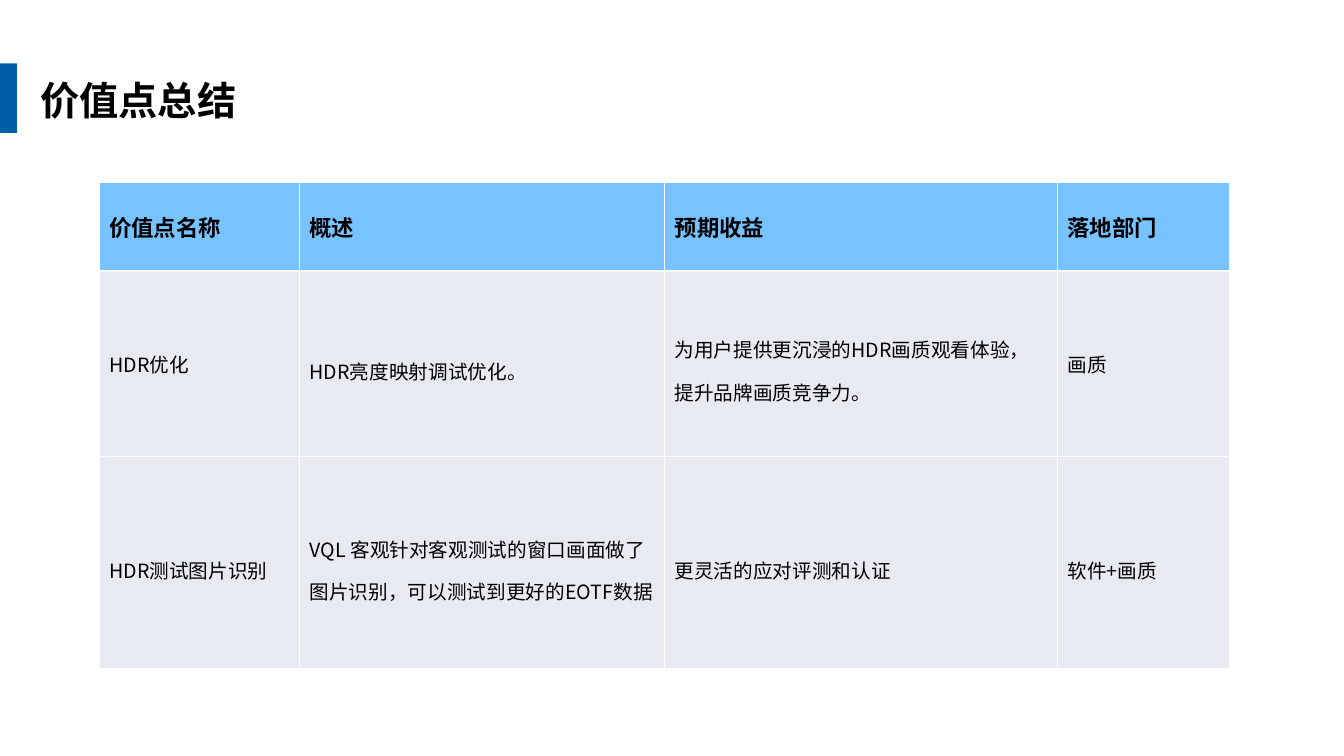
from dataclasses import dataclass

from lxml.etree import SubElement
from pptx import Presentation
from pptx.dml.color import RGBColor as Rgb
from pptx.enum.shapes import MSO_SHAPE as Shape
from pptx.enum.text import MSO_ANCHOR as Anchor, MSO_AUTO_SIZE as Fit, PP_ALIGN as Align
from pptx.oxml.ns import qn
from pptx.slide import Slide
from pptx.table import _Cell as Cell
from pptx.text.text import _Paragraph as Para
from pptx.util import Cm, Pt


@dataclass(frozen=True)
class Theme:
    face: str = "Noto Sans CJK SC"
    ink: str = "000000"
    bar: str = "005EA7"
    head: str = "76C3FF"
    body: str = "E7EAF1"
    rule: str = "FFFFFF"
    title_size: int = 28
    head_size: int = 16
    body_size: int = 14


@dataclass(frozen=True)
class Entry:
    text: str
    loose: bool = False


@dataclass(frozen=True)
class Row:
    high: float
    cells: tuple[Entry, ...]
    head: bool = False


THEME = Theme()
WIDTHS = (5.05, 9.2, 9.9, 4.35)
ROWS = (
    Row(2.23, (Entry("价值点名称"), Entry("概述"), Entry("预期收益"), Entry("落地部门")), head=True),
    Row(4.67, (
        Entry("HDR优化"),
        Entry("HDR亮度映射调试优化。", loose=True),
        Entry("为用户提供更沉浸的HDR画质观看体验，提升品牌画质竞争力。", loose=True),
        Entry("画质"),
    )),
    Row(5.36, (
        Entry("HDR测试图片识别", loose=True),
        Entry("VQL 客观针对客观测试的窗口画面做了图片识别，可以测试到更好的EOTF数据", loose=True),
        Entry("更灵活的应对评测和认证", loose=True),
        Entry("软件+画质", loose=True),
    )),
)


def style(para: Para, size: int, bold: bool) -> None:
    """Set the paragraph font for Latin and Chinese text alike."""
    font = para.font
    font.name, font.size, font.bold = THEME.face, Pt(size), bold
    font.color.rgb = Rgb.from_string(THEME.ink)
    props = para._p.pPr.find(qn("a:defRPr"))
    SubElement(props, qn("a:ea"), typeface=THEME.face)


def edge(cell: Cell) -> None:
    """Draw thin rules on all four sides; call before the fill is set."""
    props = cell._tc.get_or_add_tcPr()
    for side in ("lnL", "lnR", "lnT", "lnB"):
        line = SubElement(props, qn(f"a:{side}"), w=str(Pt(1)))
        fill = SubElement(line, qn("a:solidFill"))
        SubElement(fill, qn("a:srgbClr"), val=THEME.rule)


def add_title(slide: Slide, text: str) -> None:
    title = slide.shapes.title
    title.left, title.top, title.width, title.height = Cm(1.02), Cm(1.93), Cm(17.3), Cm(2.24)
    frame = title.text_frame
    frame.margin_left = frame.margin_right = frame.margin_top = frame.margin_bottom = 0
    frame.word_wrap = True
    frame.auto_size = Fit.SHAPE_TO_FIT_TEXT
    frame.vertical_anchor = Anchor.TOP
    frame.text = text
    para = frame.paragraphs[0]
    para.alignment = Align.LEFT
    style(para, THEME.title_size, True)


def add_bar(slide: Slide) -> None:
    bar = slide.shapes.add_shape(Shape.RECTANGLE, 0, Cm(1.6), Cm(0.43), Cm(1.75))
    bar.shadow.inherit = False
    bar.fill.solid()
    bar.fill.fore_color.rgb = Rgb.from_string(THEME.bar)
    bar.line.fill.background()


def fill_cell(cell: Cell, entry: Entry, head: bool) -> None:
    edge(cell)
    cell.fill.solid()
    cell.fill.fore_color.rgb = Rgb.from_string(THEME.head if head else THEME.body)
    cell.vertical_anchor = Anchor.MIDDLE
    cell.text = entry.text
    para = cell.text_frame.paragraphs[0]
    if entry.loose:
        para.line_spacing = 1.5
    style(para, THEME.head_size if head else THEME.body_size, head)


def add_grid(slide: Slide) -> None:
    high = sum(row.high for row in ROWS)
    table = slide.shapes.add_table(
        len(ROWS), len(WIDTHS), Cm(2.5), Cm(4.6), Cm(sum(WIDTHS)), Cm(high)
    ).table
    table.first_row = table.horz_banding = False
    for col, wide in zip(table.columns, WIDTHS):
        col.width = Cm(wide)
    for line, row in zip(table.rows, ROWS):
        line.height = Cm(row.high)
        for cell, entry in zip(line.cells, row.cells):
            fill_cell(cell, entry, row.head)


def main() -> None:
    deck = Presentation()
    deck.slide_width, deck.slide_height = Cm(33.87), Cm(19.05)
    slide = deck.slides.add_slide(deck.slide_layouts[5])
    add_title(slide, "价值点总结")
    add_bar(slide)
    add_grid(slide)
    deck.save("out.pptx")


if __name__ == "__main__":
    main()
